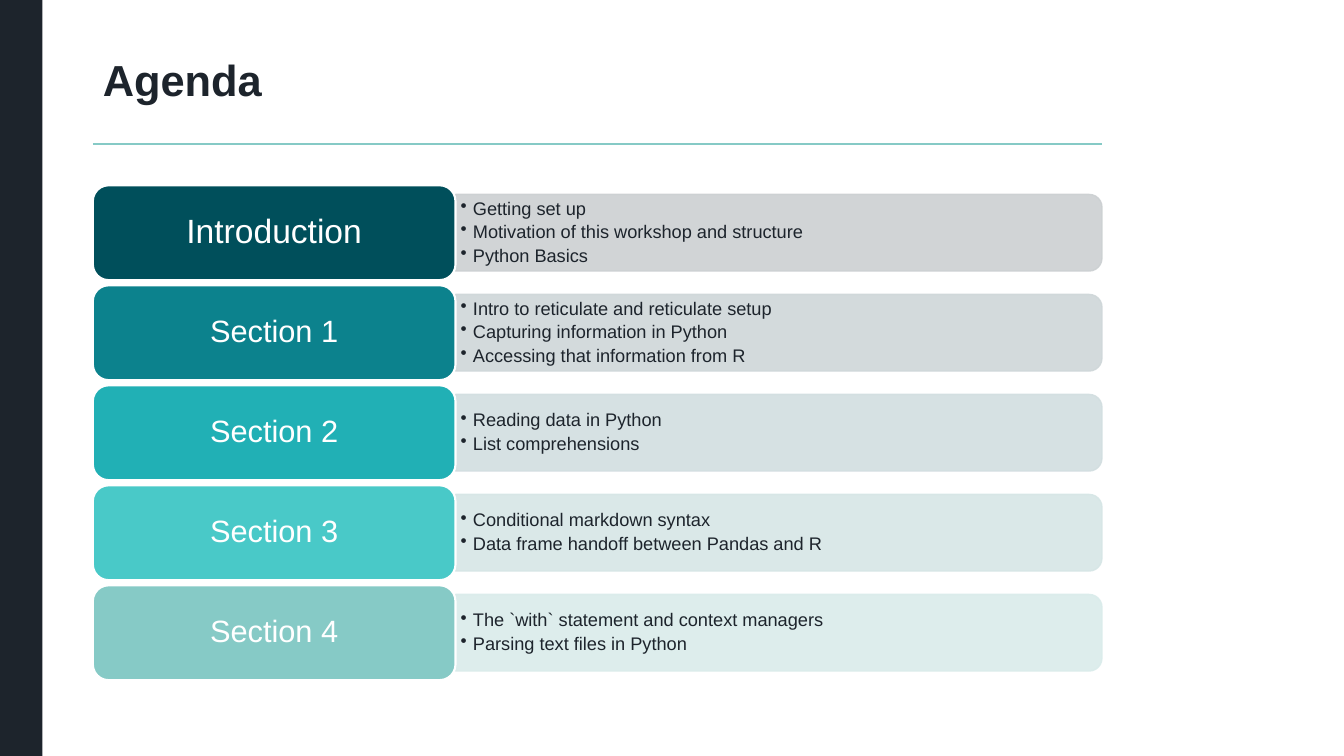
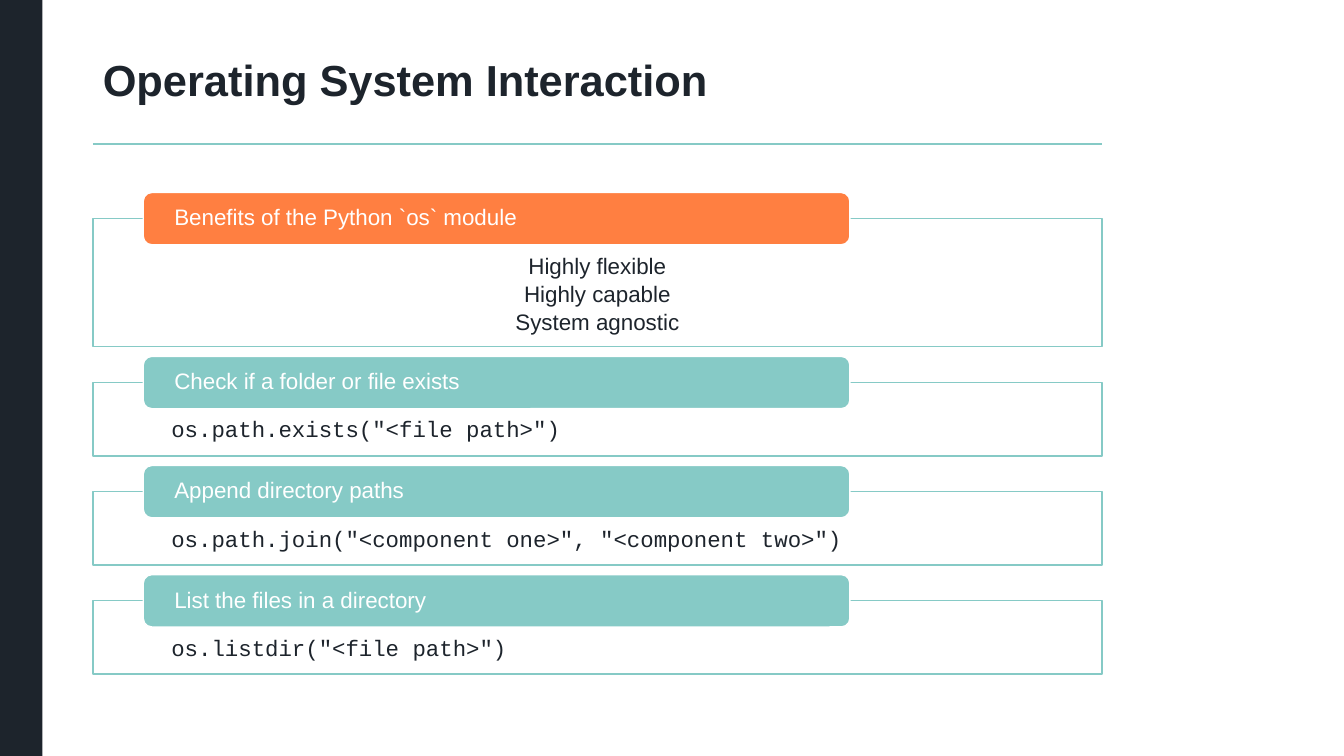
from dataclasses import dataclass

from lxml import etree
from pptx import Presentation
from pptx.dml.color import RGBColor
from pptx.enum import shapes, text
from pptx.oxml import ns
from pptx.util import Cm, Pt

AGENDA = [
    ("Introduction", "004F5B", "CCD0D2",
     ["Getting set up", "Motivation of this workshop and structure", "Python Basics"]),
    ("Section 1", "0C828D", "CFD7D9",
     ["Intro to reticulate and reticulate setup", "Capturing information in Python",
      "Accessing that information from R"]),
    ("Section 2", "21B0B5", "D2DEE0",
     ["Reading data in Python", "List comprehensions"]),
    ("Section 3", "49C9C8", "D6E6E6",
     ["Conditional markdown syntax", "Data frame handoff between Pandas and R"]),
    ("Section 4", "86CAC6", "DAECEB",
     ["The `with` statement and context managers", "Parsing text files in Python"]),
]
BENEFITS = ("Benefits of the Python `os` module",
            ["Highly flexible", "Highly capable", "System agnostic"])
TASKS = [
    ("Check if a folder or file exists", 'os.path.exists("<file path>")'),
    ("Append directory paths", 'os.path.join("<component one>", "<component two>")'),
    ("List the files in a directory", 'os.listdir("<file path>")'),
]


@dataclass(frozen=True)
class Theme:
    ink: str = "1D242C"
    paper: str = "FFFFFF"
    accent: str = "86CAC6"
    highlight: str = "FF7F41"
    font: str = "Arial"
    code_font: str = "Courier New"
    title: float = 31
    opening: float = 24
    section: float = 22
    body: float = 16
    topic: float = 13


THEME = Theme()
LEFT, WIDTH = Cm(2.34), Cm(25.43)
PREFORMED = shapes.MSO_SHAPE
LEFT_ALIGN, CENTER = text.PP_ALIGN.LEFT, text.PP_ALIGN.CENTER
TOP, MIDDLE = text.MSO_ANCHOR.TOP, text.MSO_ANCHOR.MIDDLE


def add_block(slide, kind, box, fill, line=None, line_width=1):
    block = slide.shapes.add_shape(kind, *box)
    block.shadow.inherit = False
    block.fill.solid()
    block.fill.fore_color.rgb = RGBColor.from_string(fill)
    if line:
        block.line.color.rgb = RGBColor.from_string(line)
        block.line.width = Pt(line_width)
    else:
        block.line.fill.background()
    return block


def make_translucent(block, percent):
    for color in block.element.spPr.iter(ns.qn("a:srgbClr")):
        etree.SubElement(color, ns.qn("a:alpha"), val=str(percent * 1000))


def add_bullet(paragraph, indent):
    properties = paragraph._p.get_or_add_pPr()
    properties.set("marL", str(indent))
    properties.set("indent", str(-indent))
    etree.SubElement(properties, ns.qn("a:buChar"), char="•")


def write(shape, lines, size, color=THEME.ink, font=THEME.font, bold=False,
          align=LEFT_ALIGN, anchor=MIDDLE, insets=(0.25, 0.13, 0.25, 0.13),
          after=0, bullet_indent=None):
    """Fill a shape with uniform paragraphs; insets are in centimetres."""
    frame = shape.text_frame
    frame.text = "\n".join(lines)
    frame.word_wrap = True
    frame.auto_size = text.MSO_AUTO_SIZE.NONE
    frame.vertical_anchor = anchor
    (frame.margin_left, frame.margin_top,
     frame.margin_right, frame.margin_bottom) = map(Cm, insets)
    for paragraph in frame.paragraphs:
        if bullet_indent:
            add_bullet(paragraph, bullet_indent)
        paragraph.alignment = align
        paragraph.line_spacing = 0.9
        paragraph.space_before = Pt(0)
        paragraph.space_after = Pt(after)
        paragraph.font.name = font
        paragraph.font.size = Pt(size)
        paragraph.font.bold = bold
        paragraph.font.color.rgb = RGBColor.from_string(color)


def add_titled_slide(deck, layout, title):
    slide = deck.slides.add_slide(layout)
    add_block(slide, PREFORMED.RECTANGLE, (0, 0, Cm(1.07), deck.slide_height), THEME.ink)
    rule_y = Cm(3.63)
    rule = slide.shapes.add_connector(
        shapes.MSO_CONNECTOR.STRAIGHT, LEFT, rule_y, LEFT + WIDTH, rule_y)
    rule.line.color.rgb = RGBColor.from_string(THEME.accent)
    rule.line.width = Pt(1)
    etree.SubElement(rule.element.spPr, ns.qn("a:effectLst"))
    write(slide.shapes.title, [title], THEME.title, bold=True)
    return slide


def add_agenda(slide):
    tab_width, tab_height, gap = Cm(9.14), Cm(2.39), Cm(0.13)
    panel_height, topics_height = Cm(1.93), Cm(1.73)
    panel_left = LEFT + tab_width
    panel_width = WIDTH - tab_width
    for index, (name, tab_color, panel_color, topics) in enumerate(AGENDA):
        top = Cm(4.67) + index * (tab_height + gap)
        middle = top + tab_height // 2

        # Turned a quarter so that the two rounded corners face right
        panel = add_block(
            slide, PREFORMED.ROUND_2_SAME_RECTANGLE,
            (panel_left + (panel_width - panel_height) // 2, middle - panel_width // 2,
             panel_height, panel_width), panel_color, panel_color)
        panel.rotation = 90
        make_translucent(panel, 90)

        topic_list = slide.shapes.add_textbox(
            panel_left, middle - topics_height // 2, panel_width, topics_height)
        write(topic_list, topics, THEME.topic, insets=(0.13, 0.08, 0.13, 0.08),
              after=2.7, bullet_indent=Cm(0.31))

        tab = add_block(slide, PREFORMED.ROUNDED_RECTANGLE,
                        (LEFT, top, tab_width, tab_height), tab_color, THEME.paper, 1.5)
        write(tab, [name], THEME.section if index else THEME.opening,
              THEME.paper, align=CENTER)


def add_module_sections(slide):
    label_height, label_rise, gap = Cm(1.32), Cm(0.66), Cm(0.9)
    sections = [(*BENEFITS, Cm(3.23), THEME.highlight, THEME.font, CENTER)]
    sections += [(label, [code], Cm(1.85), THEME.accent, THEME.code_font, LEFT_ALIGN)
                 for label, code in TASKS]
    top = Cm(5.51)
    for label, lines, height, color, font, align in sections:
        frame = add_block(slide, PREFORMED.RECTANGLE, (LEFT, top, WIDTH, height),
                          THEME.paper, THEME.accent)
        write(frame, lines, THEME.body, font=font, align=align, anchor=TOP,
              insets=(1.98, 0.91, 1.98, 0.3), after=3)
        heading = add_block(
            slide, PREFORMED.ROUNDED_RECTANGLE,
            (Cm(3.61), top - label_rise, Cm(17.81), label_height), color, THEME.paper)
        write(heading, [label], THEME.body, THEME.paper, insets=(0.72, 0, 0.72, 0))
        top += height + gap


def main():
    deck = Presentation()
    deck.slide_width, deck.slide_height = Cm(33.87), Cm(19.05)
    layout = deck.slide_layouts.get_by_name("Title Only")
    title = layout.placeholders[0]
    title.left, title.top, title.width, title.height = LEFT, Cm(1.35), WIDTH, Cm(1.47)
    add_agenda(add_titled_slide(deck, layout, "Agenda"))
    add_module_sections(add_titled_slide(deck, layout, "Operating System Interaction"))
    deck.save("out.pptx")


if __name__ == "__main__":
    main()
